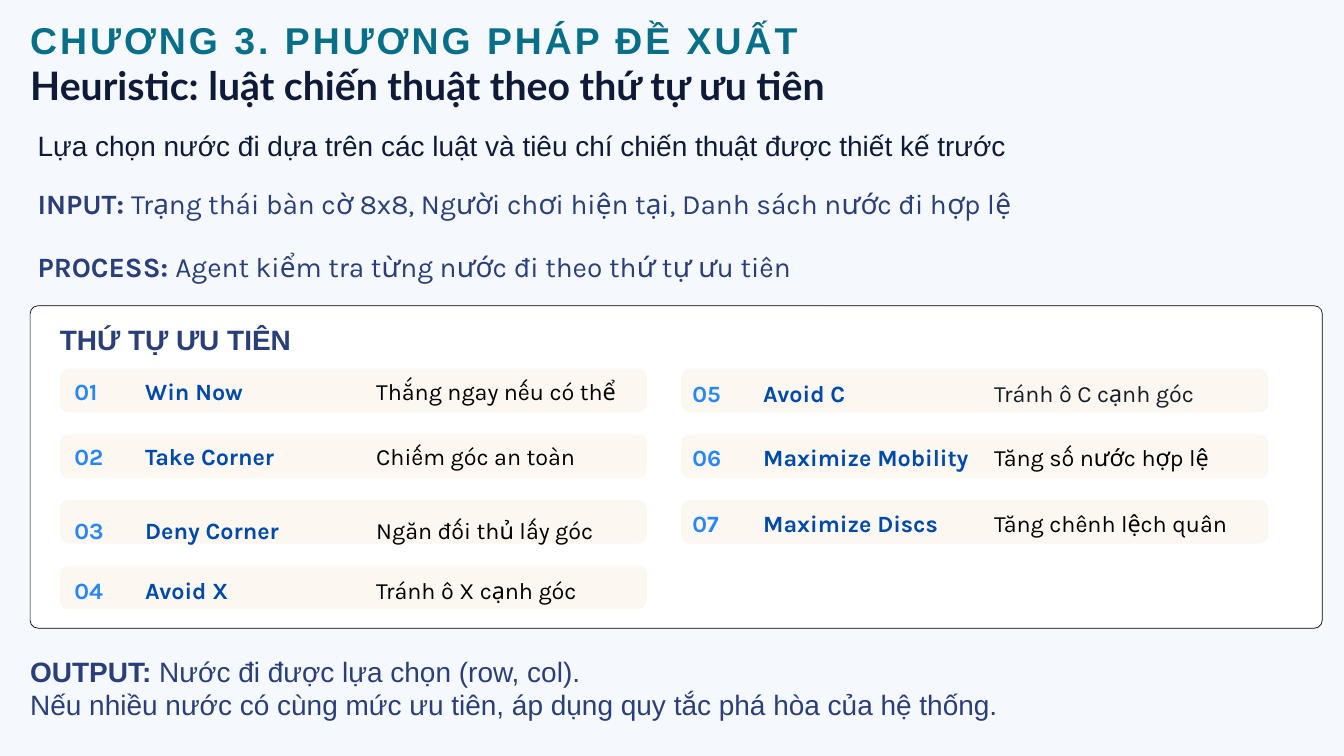
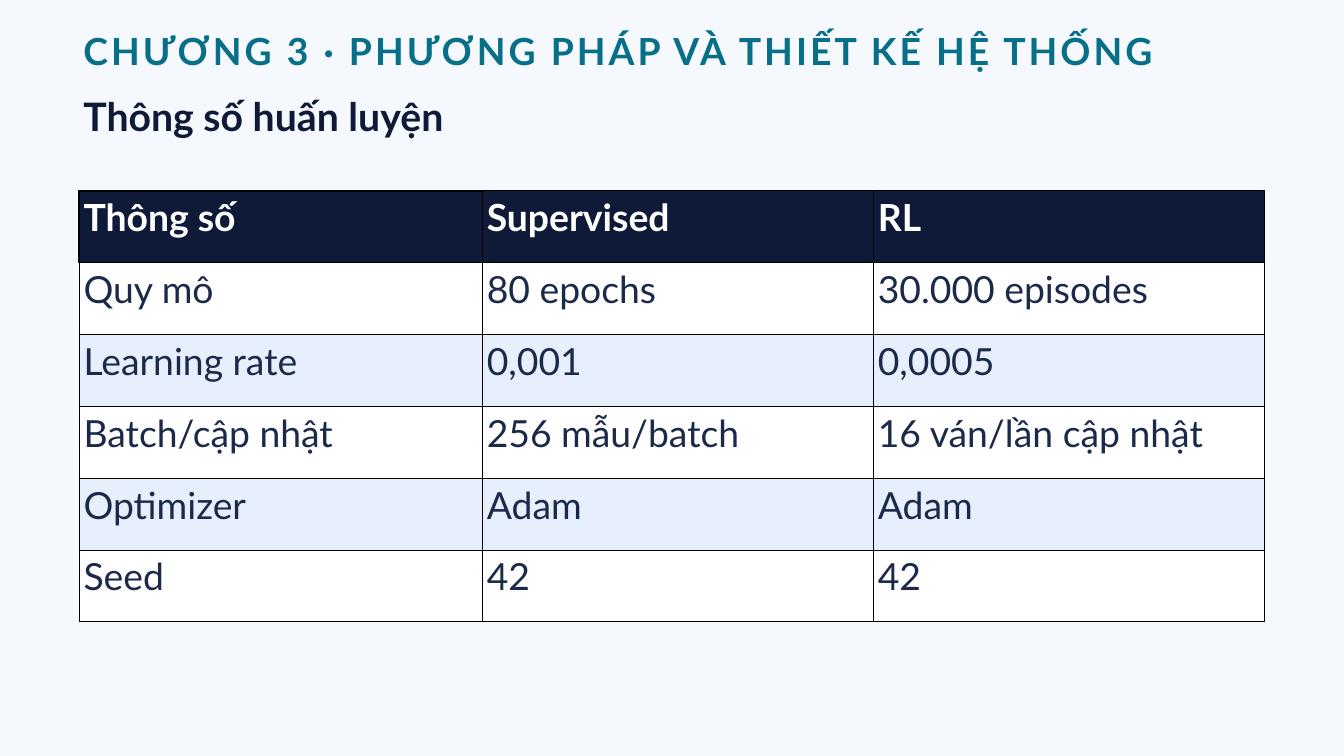
from lxml import etree
from pptx import Presentation
from pptx.dml.color import RGBColor
from pptx.enum.shapes import MSO_SHAPE
from pptx.enum.text import MSO_ANCHOR, MSO_AUTO_SIZE, PP_ALIGN
from pptx.oxml.ns import qn
from pptx.util import Cm, Pt

ROUNDED = MSO_SHAPE.ROUNDED_RECTANGLE
TOP = MSO_ANCHOR.TOP
LEFT = PP_ALIGN.LEFT
GROW, NO_FIT = MSO_AUTO_SIZE.SHAPE_TO_FIT_TEXT, MSO_AUTO_SIZE.NONE

# Shared colours
PAPER, WHITE, BLACK = "F5F8FD", "FFFFFF", "000000"
NAVY, TEAL, INDIGO = "0E1A38", "086F89", "2A3F7A"
SKY, BLUE, CREAM = "2787F8", "004AAD", "FCF8F1"
CELL_TEXT, CELL_BAND, DARK = "1B2A4A", "E6EFFB", "171D27"

# Number, name, meaning, drop of the text below the bar's top, meaning colour
RULES = [
    ("01", "Win Now", "Thắng ngay nếu có thể", 0.33, BLACK),
    ("02", "Take Corner", "Chiếm góc an toàn", 0.3, BLACK),
    ("03", "Deny Corner", "Ngăn đối thủ lấy góc", 0.62, BLACK),
    ("04", "Avoid X", "Tránh ô X cạnh góc", 0.4, BLACK),
    ("05", "Avoid C", "Tránh ô C cạnh góc", 0.38, DARK),
    ("06", "Maximize Mobility", "Tăng số nước hợp lệ", 0.32, BLACK),
    ("07", "Maximize Discs", "Tăng chênh lệch quân", 0.34, BLACK),
]
RULES_PER_COLUMN = 4

SETTINGS = [
    ("Thông số", "Supervised", "RL"),
    ("Quy mô", "80 epochs", "30.000 episodes"),
    ("Learning rate", "0,001", "0,0005"),
    ("Batch/cập nhật", "256 mẫu/batch", "16 ván/lần cập nhật"),
    ("Optimizer", "Adam", "Adam"),
    ("Seed", "42", "42"),
]


def color(value):
    return RGBColor.from_string(value)


def style(para, font, size, ink, bold, leading):
    para.line_spacing = Pt(leading)
    para.font.name = font
    para.font.size = Pt(size)
    para.font.color.rgb = color(ink)
    para.font.bold = bold


def clear_margins(frame):
    frame.margin_left = frame.margin_right = 0
    frame.margin_top = frame.margin_bottom = 0
    frame.word_wrap = True


def add_text(page, box, lines, font, size, ink, leading, bold=False):
    """Each line is a string, or a (bold lead, plain rest) pair."""
    frame = page.shapes.add_textbox(*map(Cm, box)).text_frame
    clear_margins(frame)
    frame.auto_size = GROW
    for index, line in enumerate(lines):
        para = frame.add_paragraph() if index else frame.paragraphs[0]
        style(para, font, size, ink, bold, leading)
        if isinstance(line, str):
            para.add_run().text = line
            continue
        for text, heavy in zip(line, (True, False)):
            span = para.add_run()
            span.text = text
            span.font.bold = heavy


def add_panel(page, box, fill, radius, line=None):
    panel = page.shapes.add_shape(ROUNDED, *map(Cm, box))
    panel.shadow.inherit = False
    panel.adjustments[0] = radius / box[3]
    panel.fill.solid()
    panel.fill.fore_color.rgb = color(fill)
    if line:
        panel.line.color.rgb = color(line)
        panel.line.width = Pt(0.75)
    else:
        panel.line.fill.background()


def fill_placeholder(holder, box, text, font, size, ink, leading):
    holder.left, holder.top, holder.width, holder.height = map(Cm, box)
    frame = holder.text_frame
    clear_margins(frame)
    frame.auto_size = NO_FIT
    frame.vertical_anchor = TOP
    para = frame.paragraphs[0]
    para.alignment = LEFT
    para.space_before = 0
    properties = para._p.get_or_add_pPr()
    properties.set("marL", "0")
    properties.set("indent", "0")
    etree.SubElement(properties, qn("a:buNone"))
    style(para, font, size, ink, True, leading)
    span = para.add_run()
    span.text = text
    return span


def add_headings(page, box, chapter, topic, topic_drop, chapter_font):
    """Chapter line in the title, slide topic in the body placeholder."""
    left, top, width, height = box
    span = fill_placeholder(page.shapes.title, box, chapter,
                            chapter_font, 40, TEAL, 48)
    span._r.get_or_add_rPr().set("spc", "330")
    fill_placeholder(page.placeholders[1], (left, top + topic_drop, width, height),
                     topic, "Lato", 42, NAVY, 46.2)


def add_rule(page, box, rule, shift):
    number, name, meaning, drop, ink = rule
    left, top, _, _ = box
    add_panel(page, box, CREAM, 0.33)
    parts = [(number, 0.55, 2.08, SKY, True),
             (name, 3.23, 8.6, BLUE, True),
             (meaning, 11.96, 10, ink, False)]
    for text, offset, width, part_ink, bold in parts:
        add_text(page, (left + offset + shift, top + drop, width, 1.02),
                 [text], "Karla", 25, part_ink, 30, bold)


def add_priorities(page, box):
    left, top, _, _ = box
    add_panel(page, box, WHITE, 0.3, BLACK)
    add_text(page, (left + 1.12, top + 0.64, 13.84, 1.3), ["THỨ TỰ ƯU TIÊN"],
             "Arial", 30, INDIGO, 36, True)
    for index, rule in enumerate(RULES):
        column, row = divmod(index, RULES_PER_COLUMN)
        bar = (left + 1.12 + 23.48 * column, top + 2.38 + 2.48 * row, 22.2, 1.65)
        add_rule(page, bar, rule, -0.12 * column)


def set_borders(cell, widths):
    properties = cell._tc.get_or_add_tcPr()
    for side, width in zip("LRTB", widths):
        line = etree.SubElement(properties, qn(f"a:ln{side}"), w=str(Pt(width)))
        fill = etree.SubElement(line, qn("a:solidFill"))
        etree.SubElement(fill, qn("a:srgbClr"), val=BLACK)


def border_widths(row, column):
    """The first cell has a thick frame, shared with its neighbours."""
    if (row, column) == (0, 0):
        return (2.25,) * 4
    return (2.25 if (row, column) == (0, 1) else 1, 1,
            2.25 if (row, column) == (1, 0) else 1, 1)


def add_settings_table(page, box):
    table = page.shapes.add_table(len(SETTINGS), len(SETTINGS[0]),
                                  *map(Cm, box)).table
    for column, width in zip(table.columns, (15.24, 14.78, 14.78)):
        column.width = Cm(width)
    for row, texts in enumerate(SETTINGS):
        table.rows[row].height = Cm(box[3] / len(SETTINGS))
        header = row == 0
        fill = NAVY if header else WHITE if row % 2 else CELL_BAND
        for column, text in enumerate(texts):
            cell = table.cell(row, column)
            set_borders(cell, border_widths(row, column))
            cell.fill.solid()
            cell.fill.fore_color.rgb = color(fill)
            cell.margin_left = cell.margin_right = Cm(0.16)
            cell.margin_top = cell.margin_bottom = Cm(0.16)
            para = cell.text_frame.paragraphs[0]
            style(para, "Lato", 40, WHITE if header else CELL_TEXT, header, 48)
            para.add_run().text = text


def build_heuristic(page):
    add_headings(page, (1.14, 0.64, 45.34, 1.7), "CHƯƠNG 3. PHƯƠNG PHÁP ĐỀ XUẤT",
                 "Heuristic: luật chiến thuật theo thứ tự ưu tiên", 1.82, "Arial")
    # Idea, input and process
    add_text(page, (1.42, 4.98, 44.55, 1.22),
             ["Lựa chọn nước đi dựa trên các luật và tiêu chí chiến thuật được thiết kế trước"],
             "Arial", 30, NAVY, 33)
    steps = [
        ("INPUT: ", "Trạng thái bàn cờ 8x8, Người chơi hiện tại, Danh sách nước đi hợp lệ"),
        ("PROCESS: ", "Agent kiểm tra từng nước đi theo thứ tự ưu tiên"),
    ]
    for index, step in enumerate(steps):
        add_text(page, (1.42, 7.06 + 2.39 * index, 39.78, 1.27), [step],
                 "Karla", 30, INDIGO, 36)
    add_priorities(page, (1.14, 11.56, 48.84, 12.19))
    # Output
    add_text(page, (1.14, 24.74, 46.46, 2.57),
             [("OUTPUT: ", "Nước đi được lựa chọn (row, col)."),
              "Nếu nhiều nước có cùng mức ưu tiên, áp dụng quy tắc phá hòa của hệ thống."],
             "Arial", 30, INDIGO, 36)


def build_training(page):
    add_headings(page, (3.15, 1.07, 45.34, 1.7),
                 "CHƯƠNG 3 · PHƯƠNG PHÁP VÀ THIẾT KẾ HỆ THỐNG",
                 "Thông số huấn luyện", 2.56, "Lato")
    add_settings_table(page, (3, 7.21, 44.8, 16.3))


def main():
    deck = Presentation()
    deck.slide_width, deck.slide_height = Cm(50.8), Cm(28.58)
    backdrop = deck.slide_master.background.fill
    backdrop.solid()
    backdrop.fore_color.rgb = color(PAPER)
    for build in (build_heuristic, build_training):
        build(deck.slides.add_slide(deck.slide_layouts[1]))
    deck.save("out.pptx")


if __name__ == "__main__":
    main()
